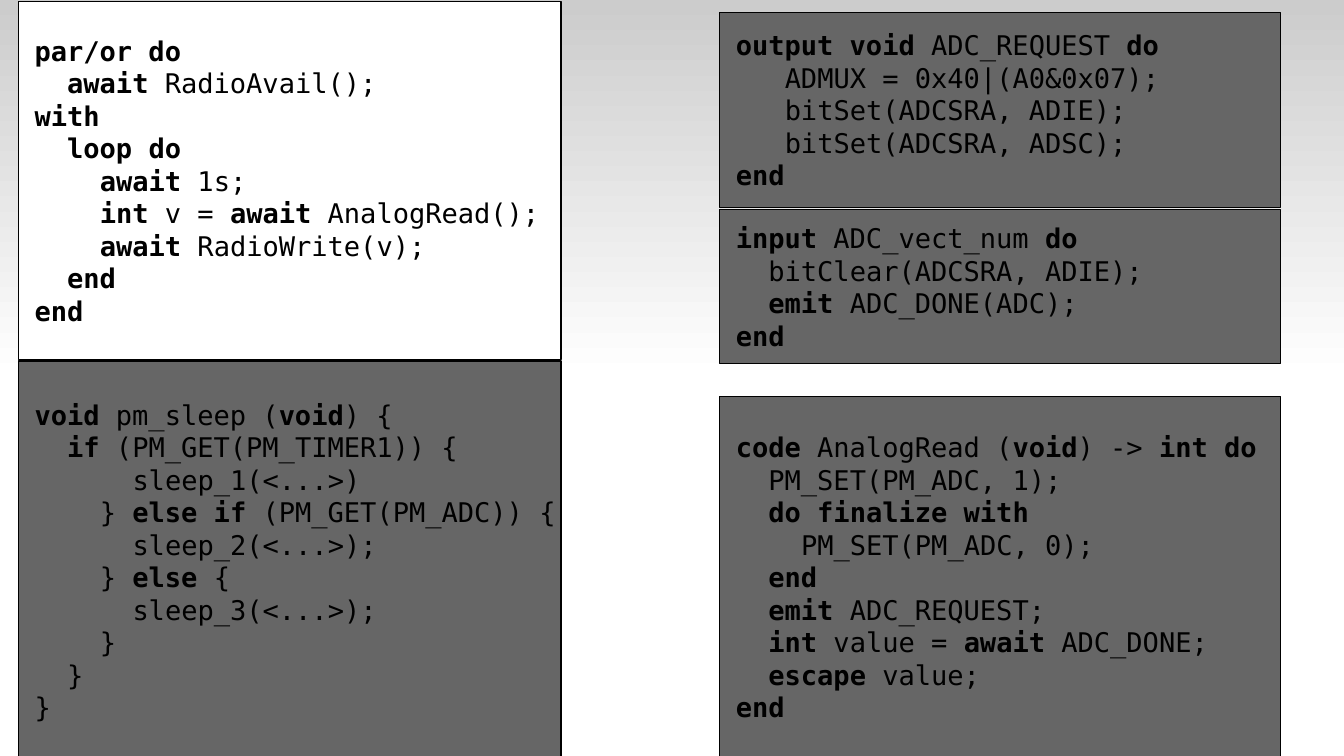
from dataclasses import dataclass

from pptx import Presentation
from pptx.dml.color import RGBColor
from pptx.enum import shapes, text
from pptx.util import Inches, Pt

BLACK = RGBColor(0x00, 0x00, 0x00)
WHITE = RGBColor(0xFF, 0xFF, 0xFF)
DIMMED = RGBColor(0x66, 0x66, 0x66)
SILVER = RGBColor(0xCC, 0xCC, 0xCC)

SLIDE_W, SLIDE_H = 11.02, 6.2
FONT, FONT_SIZE = "DejaVu Sans Mono", 16
CHAR_W = FONT_SIZE * 0.602 / 72  # advance of one monospaced character, in inches
LEFT_X, LEFT_W = 0.15, 4.45
RIGHT_X, RIGHT_W = 5.9, 4.6


@dataclass(frozen=True)
class CodeBox:
    """A listing; keywords stand between asterisks, leading blanks give the indent."""
    x: float
    y: float
    w: float
    h: float
    fill: RGBColor
    code: str


CODE_BOXES = [
    CodeBox(LEFT_X, 0.01, LEFT_W, 2.94, WHITE, """
*par/or do*
  *await* RadioAvail();
*with*
  *loop do*
    *await* 1s;
    *int* v = *await* AnalogRead();
    *await* RadioWrite(v);
  *end*
*end*
"""),
    CodeBox(RIGHT_X, 3.25, RIGHT_W, 2.96, DIMMED, """
*code* AnalogRead (*void*) -> *int do*
  PM_SET(PM_ADC, 1);
  *do finalize with*
    PM_SET(PM_ADC, 0);
  *end*
  *emit* ADC_REQUEST;
  *int* value = *await* ADC_DONE;
  *escape* value;
*end*
"""),
    CodeBox(RIGHT_X, 0.1, RIGHT_W, 1.6, DIMMED, """
*output void* ADC_REQUEST *do*
   ADMUX = 0x40|(A0&0x07);
   bitSet(ADCSRA, ADIE);
   bitSet(ADCSRA, ADSC);
*end*
"""),
    CodeBox(RIGHT_X, 1.72, RIGHT_W, 1.26, DIMMED, """
*input* ADC_vect_num *do*
  bitClear(ADCSRA, ADIE);
  *emit* ADC_DONE(ADC);
*end*
"""),
    CodeBox(LEFT_X, 2.96, LEFT_W, 3.28, DIMMED, """
*void* pm_sleep (*void*) {
  *if* (PM_GET(PM_TIMER1)) {
      sleep_1(<...>)
    } *else if* (PM_GET(PM_ADC)) {
      sleep_2(<...>);
    } *else* {
      sleep_3(<...>);
    }
  }
}
"""),
]


def add_rect(s, x: float, y: float, w: float, h: float):
    sp = s.shapes.add_shape(shapes.MSO_SHAPE.RECTANGLE,
                            Inches(x), Inches(y), Inches(w), Inches(h))
    sp.shadow.inherit = False
    return sp


def add_gradient_band(s) -> None:
    sp = add_rect(s, 0, 0, SLIDE_W, SLIDE_H / 2)
    sp.line.fill.background()
    sp.fill.gradient()
    sp.fill.gradient_angle = 270
    for stop, color in zip(sp.fill.gradient_stops, (SILVER, WHITE)):
        stop.color.rgb = color


def write_code_line(p, line: str) -> None:
    """Fill a paragraph, indenting it one column more than the listing does."""
    code = line.lstrip()
    columns = len(line) - len(code) + 1
    p.alignment = text.PP_ALIGN.LEFT
    pPr = p._p.get_or_add_pPr()
    pPr.set("marL", str(Inches(columns * CHAR_W)))
    pPr.set("indent", "0")
    for i, part in enumerate(code.split("*")):
        if part:
            r = p.add_run()
            r.text = part
            r.font.name = FONT
            r.font.size = Pt(FONT_SIZE)
            r.font.bold = i % 2 == 1
            r.font.color.rgb = BLACK


def add_code_box(s, box: CodeBox) -> None:
    sp = add_rect(s, box.x, box.y, box.w, box.h)
    sp.fill.solid()
    sp.fill.fore_color.rgb = box.fill
    sp.line.color.rgb = BLACK
    sp.line.width = Pt(0)
    tf = sp.text_frame
    tf.word_wrap = True
    tf.vertical_anchor = text.MSO_ANCHOR.MIDDLE
    tf.margin_left = tf.margin_right = tf.margin_top = tf.margin_bottom = 0
    for i, line in enumerate(box.code.strip().splitlines()):
        write_code_line(tf.add_paragraph() if i else tf.paragraphs[0], line)


def main() -> None:
    prs = Presentation()
    prs.slide_width, prs.slide_height = Inches(SLIDE_W), Inches(SLIDE_H)
    s = prs.slides.add_slide(prs.slide_layouts[6])
    s.background.fill.solid()
    s.background.fill.fore_color.rgb = WHITE
    add_gradient_band(s)
    for box in CODE_BOXES:
        add_code_box(s, box)
    prs.save("out.pptx")


if __name__ == "__main__":
    main()
